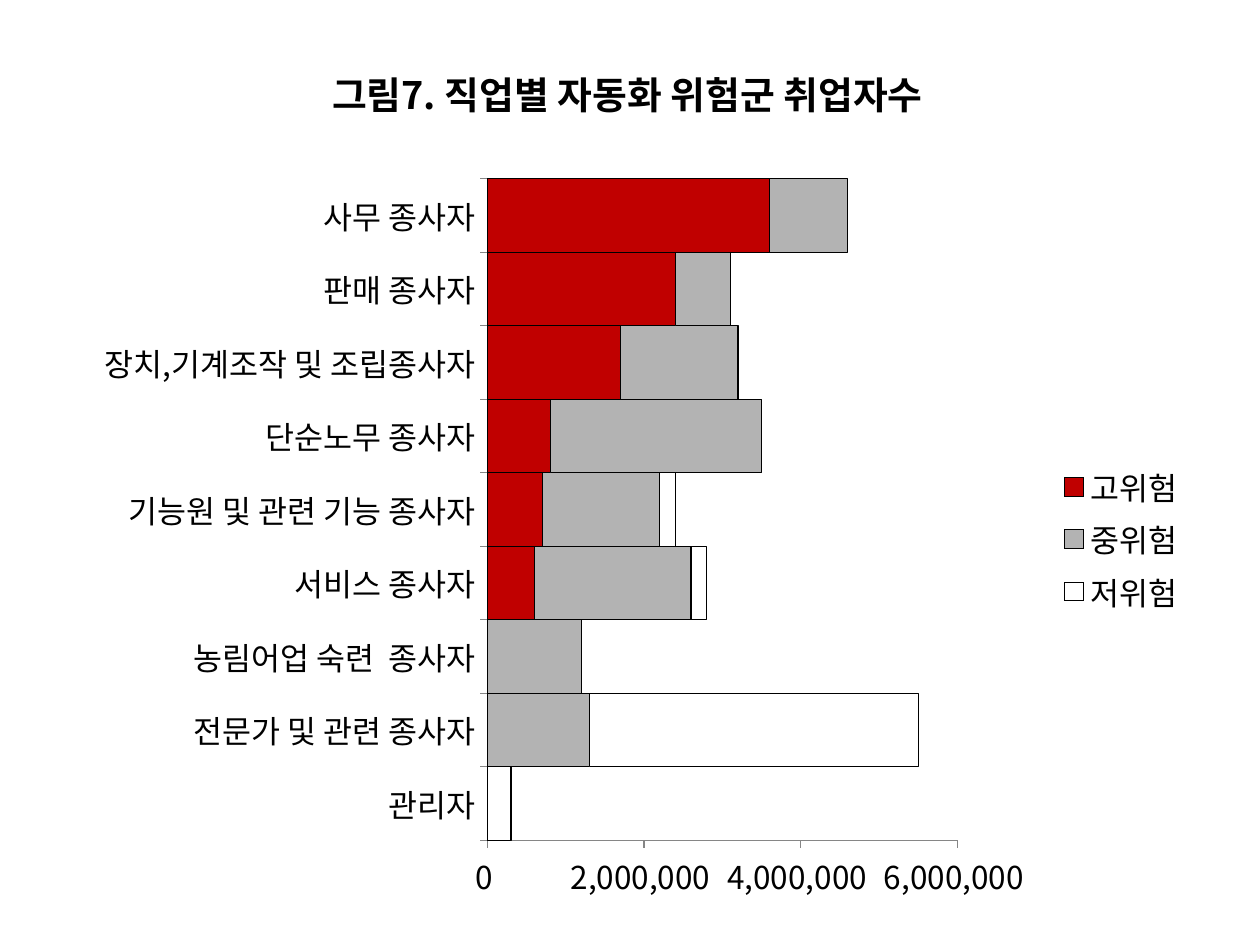
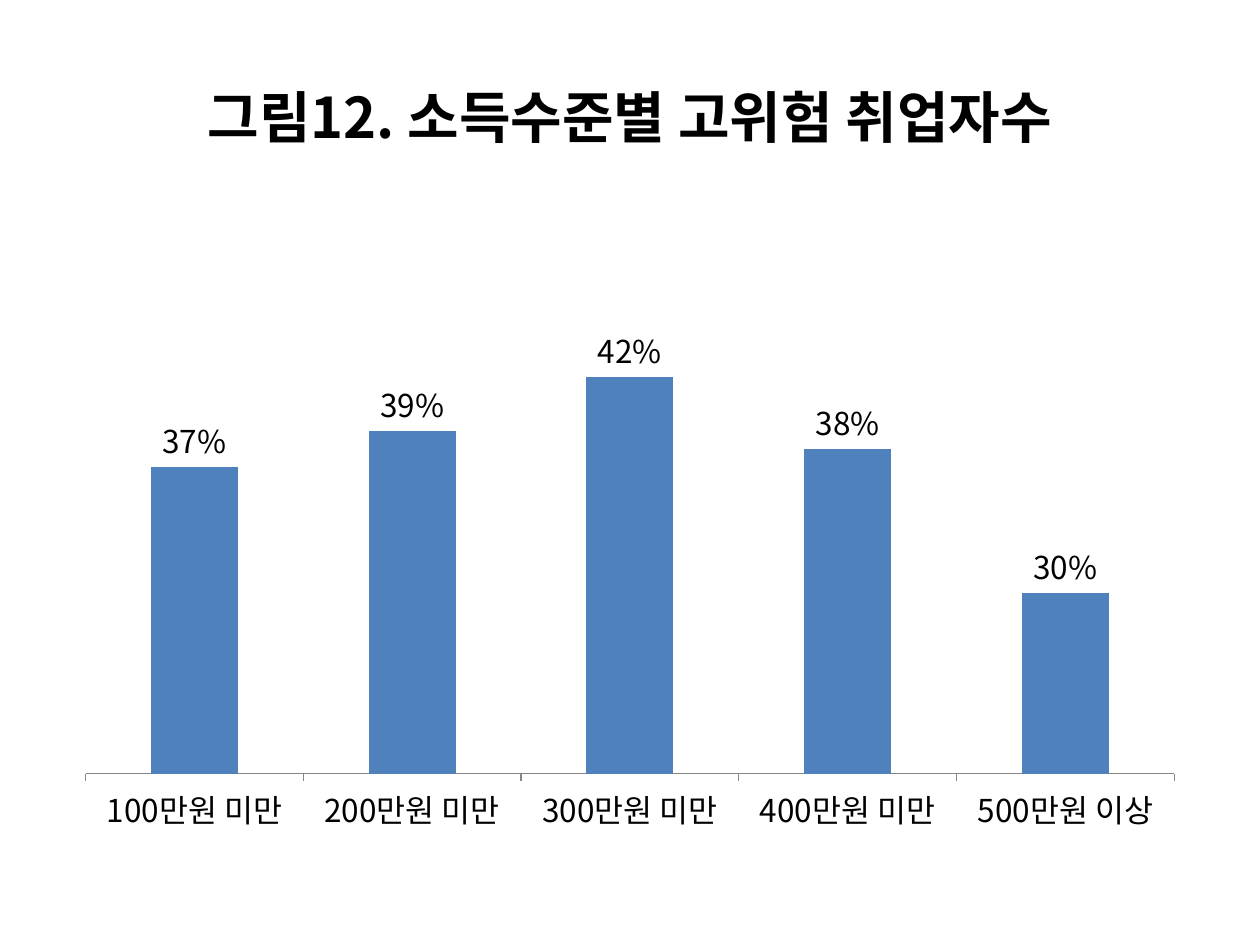
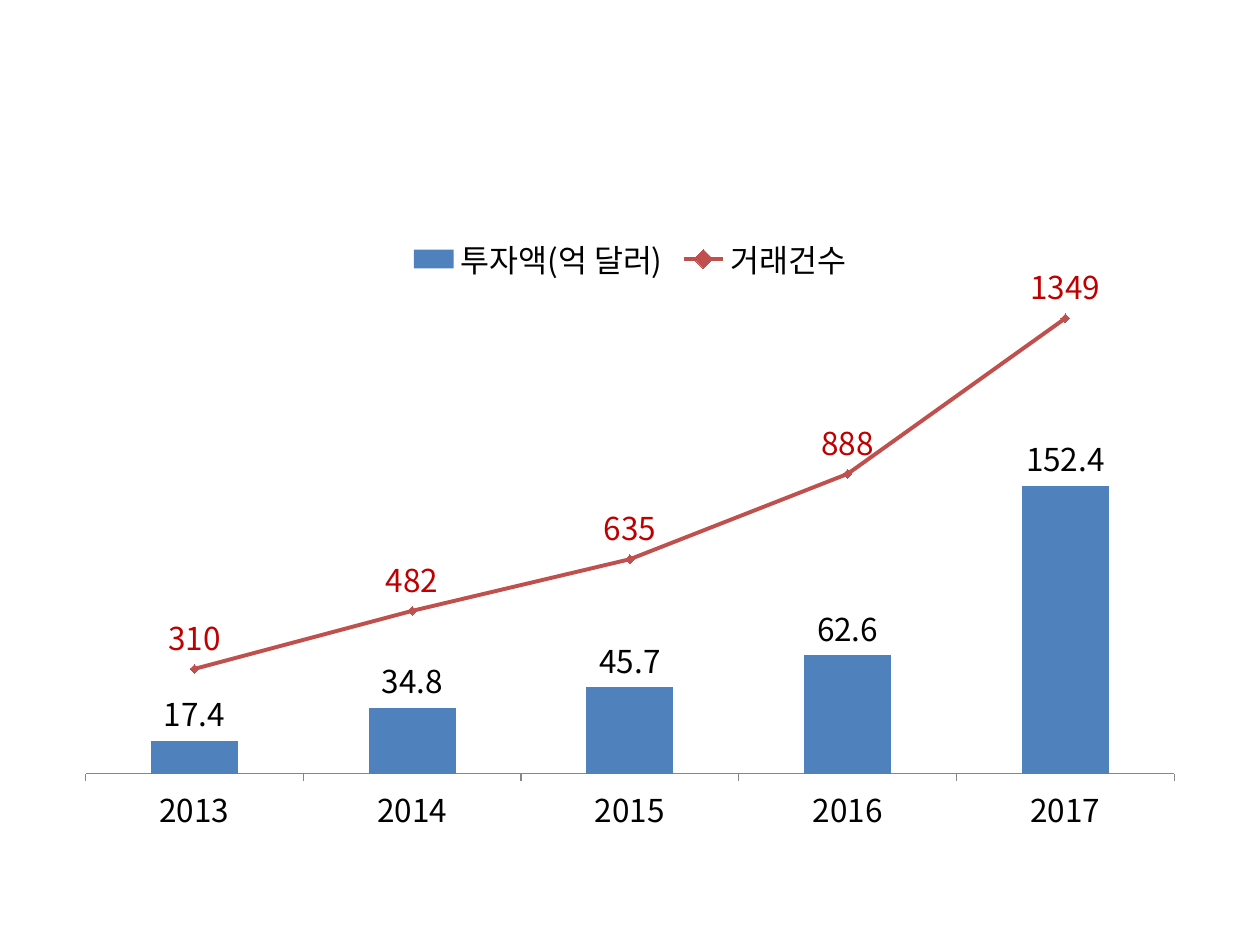
from dataclasses import dataclass

from pptx import Presentation
from pptx.chart.data import CategoryChartData
from pptx.dml.color import RGBColor
from pptx.enum.chart import (XL_CHART_TYPE, XL_LABEL_POSITION, XL_LEGEND_POSITION,
                             XL_MARKER_STYLE, XL_TICK_LABEL_POSITION, XL_TICK_MARK)
from pptx.enum.text import MSO_ANCHOR, PP_ALIGN
from pptx.oxml import parse_xml
from pptx.oxml.ns import nsdecls, qn
from pptx.util import Inches, Pt

STACKED, COLUMN = XL_CHART_TYPE.BAR_STACKED, XL_CHART_TYPE.COLUMN_CLUSTERED
OUTSIDE_END, ABOVE = XL_LABEL_POSITION.OUTSIDE_END, XL_LABEL_POSITION.ABOVE
LEGEND_RIGHT, LEGEND_TOP = XL_LEGEND_POSITION.RIGHT, XL_LEGEND_POSITION.TOP
DIAMOND = XL_MARKER_STYLE.DIAMOND
TICK_OUT, TICK_NONE = XL_TICK_MARK.OUTSIDE, XL_TICK_MARK.NONE
NO_LABELS = XL_TICK_LABEL_POSITION.NONE
CENTER, MIDDLE = PP_ALIGN.CENTER, MSO_ANCHOR.MIDDLE


@dataclass(frozen=True)
class Theme:
    """Colours, font and type sizes shared by all slides."""
    font: str = "Noto Sans CJK KR"
    ink: str = "000000"
    axis: str = "868686"
    high: str = "C00000"
    medium: str = "B3B3B3"
    low: str = "FFFFFF"
    bar: str = "4F81BD"
    line: str = "C0504D"
    figure_title: float = 21.6
    slide_title: float = 32
    chart_text: float = 18


THEME = Theme()
CHART_BOX = (0.5, 1.75, 9, 4.95)

RISK_CATEGORIES = ["관리자", "전문가 및 관련 종사자", "농림어업 숙련  종사자",
                   "서비스 종사자", "기능원 및 관련 기능 종사자", "단순노무 종사자",
                   "장치,기계조작 및 조립종사자", "판매 종사자", "사무 종사자"]
RISK_SERIES = {
    "고위험": [0, 0, 0, 600000, 700000, 800000, 1700000, 2400000, 3600000],
    "중위험": [0, 1300000, 1200000, 2000000, 1500000, 2700000, 1500000, 700000, 1000000],
    "저위험": [300000, 4200000, None, 200000, 200000, None, None, None, None],
}
INCOME_CATEGORIES = ["100만원 미만", "200만원 미만", "300만원 미만",
                     "400만원 미만", "500만원 이상"]
INCOME_SERIES = {"Series 1": [0.37, 0.39, 0.42, 0.38, 0.3]}
YEARS = ["2013", "2014", "2015", "2016", "2017"]
DEAL_SERIES = {
    "투자액(억 달러)": [17.4, 34.8, 45.7, 62.6, 152.4],
    "거래건수": [310, 482, 635, 888, 1349],
}


def rgb(color):
    """Turn a hex string into a colour."""
    return RGBColor.from_string(color)


def style_font(font, size, color=THEME.ink, bold=False):
    """Set the theme font with a size, colour and weight."""
    font.name, font.size, font.bold = THEME.font, Pt(size), bold
    font.color.rgb = rgb(color)


def use_font_for_hangul(element):
    """Give East Asian text the same typeface as Latin text."""
    for latin in list(element.iter(qn("a:latin"))):
        latin.addnext(parse_xml(f'<a:ea {nsdecls("a")} typeface="{THEME.font}"/>'))


def add_text(slide, box, text, size, wrap=True, anchor=None, **font_format):
    """Add one centred line of text in a box given in inches."""
    sp = slide.shapes.add_textbox(*map(Inches, box))
    tf = sp.text_frame
    tf.word_wrap = wrap
    if anchor is not None:
        tf.vertical_anchor = anchor
    p = tf.paragraphs[0]
    p.alignment = CENTER
    r = p.add_run()
    r.text = text
    style_font(r.font, size, **font_format)
    use_font_for_hangul(sp.element)


def set_plot_box(chart, box, plot):
    """Fix the inner plot area, given in inches from the chart's corner."""
    width, height = box[2:]
    shares = zip("xywh", plot, (width, height, width, height))
    places = "".join(f'<c:{key} val="{length / whole:.4f}"/>' for key, length, whole in shares)
    area = chart.element.find(".//" + qn("c:plotArea"))
    for old in area.findall(qn("c:layout")):
        area.remove(old)
    area.insert(0, parse_xml(
        f'<c:layout {nsdecls("c")}><c:manualLayout><c:layoutTarget val="inner"/>'
        f'<c:xMode val="edge"/><c:yMode val="edge"/>{places}</c:manualLayout></c:layout>'))


def style_axis_line(axis):
    """Draw a thin grey axis line with outer ticks and no gridlines."""
    axis.has_major_gridlines = False
    axis.major_tick_mark, axis.minor_tick_mark = TICK_OUT, TICK_NONE
    axis.format.line.color.rgb = rgb(THEME.axis)
    axis.format.line.width = Pt(0.75)


def add_chart(slide, kind, box, plot, categories, series, gap, legend=None):
    """Add a chart with the shared font, axes and legend style."""
    data = CategoryChartData()
    data.categories = categories
    for name, values in series.items():
        data.add_series(name, values)
    chart = slide.shapes.add_chart(kind, *map(Inches, box), data).chart
    chart.has_title = False
    style_font(chart.font, THEME.chart_text)
    chart.has_legend = legend is not None
    if chart.has_legend:
        chart.legend.position = legend
        chart.legend.include_in_layout = False
    chart.plots[0].gap_width = gap
    chart.plots[0].vary_by_categories = False
    style_axis_line(chart.category_axis)
    style_axis_line(chart.value_axis)
    set_plot_box(chart, box, plot)
    return chart


def set_scale(axis, low, high):
    """Set the range of a value axis."""
    axis.minimum_scale, axis.maximum_scale = low, high


def fill_series(series, color):
    """Fill the bars of a series."""
    series.format.fill.solid()
    series.format.fill.fore_color.rgb = rgb(color)


def label_series(series, number_format, position, color=THEME.ink):
    """Show the values of a series."""
    labels = series.data_labels
    labels.show_value = True
    labels.number_format, labels.number_format_is_linked = number_format, False
    labels.position = position
    style_font(labels.font, THEME.chart_text, color)


def move_to_line(chart, high):
    """Move the last series to a line on a hidden right axis and return it."""
    bars = chart.element.find(".//" + qn("c:barChart"))
    ser = bars.findall(qn("c:ser"))[-1]
    for flag in ser.findall(qn("c:invertIfNegative")):
        ser.remove(flag)
    lines = parse_xml(
        f'<c:lineChart {nsdecls("c")}><c:grouping val="standard"/><c:varyColors val="0"/>'
        '<c:marker val="1"/><c:axId val="50010"/><c:axId val="50020"/></c:lineChart>')
    lines.insert(2, ser)
    bars.addnext(lines)
    cat_axis = parse_xml(
        f'<c:catAx {nsdecls("c")}><c:axId val="50010"/>'
        '<c:scaling><c:orientation val="minMax"/></c:scaling><c:delete val="1"/>'
        '<c:axPos val="b"/><c:crossAx val="50020"/><c:crosses val="autoZero"/></c:catAx>')
    val_axis = parse_xml(
        f'<c:valAx {nsdecls("c", "a")}><c:axId val="50020"/>'
        f'<c:scaling><c:orientation val="minMax"/><c:max val="{high}"/><c:min val="0"/></c:scaling>'
        '<c:delete val="0"/><c:axPos val="r"/><c:numFmt formatCode="General" sourceLinked="0"/>'
        '<c:majorTickMark val="none"/><c:minorTickMark val="none"/><c:tickLblPos val="none"/>'
        '<c:spPr><a:ln><a:noFill/></a:ln></c:spPr>'
        '<c:crossAx val="50010"/><c:crosses val="max"/></c:valAx>')
    left_axis = chart.element.find(".//" + qn("c:valAx"))
    left_axis.addnext(cat_axis)
    cat_axis.addnext(val_axis)
    return chart.plots[1].series[0]


def build_risk_slide(slide):
    """Show workers at risk of automation by occupation."""
    chart = add_chart(slide, STACKED, (0.51, 1.31, 9, 5.94), (3.36, 0.11, 3.73, 5.25),
                      RISK_CATEGORIES, RISK_SERIES, gap=0, legend=LEGEND_RIGHT)
    chart.plots[0].overlap = 100
    axis = chart.value_axis
    set_scale(axis, 0, 6000000)
    axis.major_unit = 2000000
    axis.tick_labels.number_format = r"#,##0_);[Red]\(#,##0\)"
    axis.tick_labels.number_format_is_linked = False
    for series, color in zip(chart.plots[0].series, (THEME.high, THEME.medium, THEME.low)):
        fill_series(series, color)
        series.format.line.color.rgb = rgb(THEME.ink)
        series.format.line.width = Pt(0.75)
    use_font_for_hangul(chart.element)
    add_text(slide, (2.21, 0.52, 5.54, 0.46), "그림7. 직업별 자동화 위험군 취업자수",
             THEME.figure_title, wrap=False, bold=True)


def build_income_slide(slide):
    """Show the share of high-risk workers by income level."""
    add_text(slide, (0.5, 0.3, 9, 1.25), "그림12. 소득수준별 고위험 취업자수",
             THEME.slide_title, anchor=MIDDLE, bold=True)
    chart = add_chart(slide, COLUMN, CHART_BOX, (0.18, 0.1, 8.64, 4.29),
                      INCOME_CATEGORIES, INCOME_SERIES, gap=150)
    set_scale(chart.value_axis, 0.2, 0.5)
    chart.value_axis.visible = False
    series = chart.plots[0].series[0]
    fill_series(series, THEME.bar)
    label_series(series, "0%", OUTSIDE_END)
    use_font_for_hangul(chart.element)


def build_deals_slide(slide):
    """Show investment as columns and deal counts as a line."""
    chart = add_chart(slide, COLUMN, CHART_BOX, (0.18, 0.64, 8.64, 3.75),
                      YEARS, DEAL_SERIES, gap=150, legend=LEGEND_TOP)
    axis = chart.value_axis
    set_scale(axis, 0, 250)
    axis.major_tick_mark = TICK_NONE
    axis.tick_label_position = NO_LABELS
    axis.format.line.fill.background()
    deals = move_to_line(chart, 1400)
    investment = chart.plots[0].series[0]
    fill_series(investment, THEME.bar)
    label_series(investment, "0.0", OUTSIDE_END)
    deals.smooth = False
    deals.format.line.color.rgb = rgb(THEME.line)
    deals.format.line.width = Pt(2.25)
    deals.marker.style, deals.marker.size = DIAMOND, 5
    fill_series(deals.marker, THEME.line)
    deals.marker.format.line.color.rgb = rgb(THEME.line)
    label_series(deals, "General", ABOVE, THEME.high)
    use_font_for_hangul(chart.element)


def main():
    """Build the three slides and save them."""
    prs = Presentation()
    prs.slide_width, prs.slide_height = Inches(10), Inches(7.5)
    for build in (build_risk_slide, build_income_slide, build_deals_slide):
        build(prs.slides.add_slide(prs.slide_layouts[6]))
    prs.save("out.pptx")


if __name__ == "__main__":
    main()
